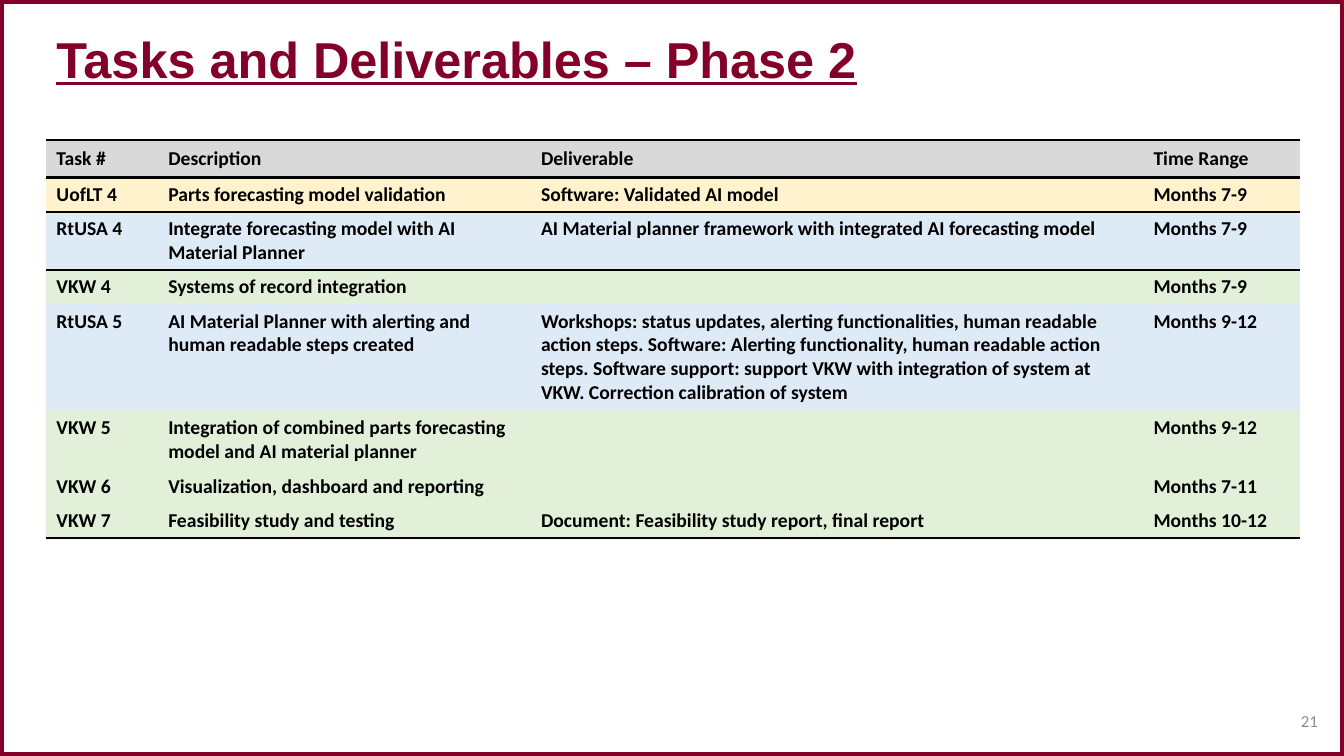
import pptx
import pptx.dml.color
import pptx.enum.shapes
import pptx.enum.text
import pptx.oxml.ns
import pptx.util
from lxml import etree

Inches = pptx.util.Inches
RGBColor = pptx.dml.color.RGBColor

GARNET = RGBColor(0x83, 0x00, 0x28)
BLACK = RGBColor(0x00, 0x00, 0x00)
NUMBER_GRAY = RGBColor(0x8C, 0x8C, 0x8C)
HEADER_GRAY = RGBColor(0xD9, 0xD9, 0xD9)
YELLOW = RGBColor(0xFF, 0xF2, 0xCC)
BLUE = RGBColor(0xDE, 0xEB, 0xF7)
GREEN = RGBColor(0xE2, 0xF0, 0xD9)

PLAIN_TABLE_STYLE = "{2D5ABB26-0587-4C30-8999-92F81FD0307C}"
COLUMN_SHARES = (1.11, 3.7, 6.08, 1.55)
HEADER_HEIGHT = 0.37
ROW_HEIGHT = 0.34
EXTRA_LINE_HEIGHT = 0.24
TABLE_SIZE = 14

HEADINGS = ("Task #", "Description", "Deliverable", "Time Range")
# Fill, number of text lines, cell texts
TASKS = (
    (YELLOW, 1, ("UofLT 4", "Parts forecasting model validation",
                 "Software: Validated AI model", "Months 7-9")),
    (BLUE, 2, ("RtUSA 4", "Integrate forecasting model with AI Material Planner",
               "AI Material planner framework with integrated AI forecasting model",
               "Months 7-9")),
    (GREEN, 1, ("VKW 4", "Systems of record integration", "", "Months 7-9")),
    (BLUE, 4, ("RtUSA 5",
               "AI Material Planner with alerting and human readable steps created",
               "Workshops: status updates, alerting functionalities, human readable "
               "action steps. Software: Alerting functionality, human readable action "
               "steps. Software support: support VKW with integration of system at "
               "VKW. Correction calibration of system", "Months 9-12")),
    (GREEN, 2, ("VKW 5",
                "Integration of combined parts forecasting model and AI material planner",
                "", "Months 9-12")),
    (GREEN, 1, ("VKW 6", "Visualization, dashboard and reporting", "", "Months 7-11")),
    (GREEN, 1, ("VKW 7", "Feasibility study and testing",
                "Document: Feasibility study report, final report", "Months 10-12")),
)
# Horizontal rules: row boundary -> width in points
RULES = {0: 2.25, 1: 2.25, 2: 1.5, len(TASKS) + 1: 2}


def format_runs(paragraph, font_name, size, color, bold=False, underline=False):
    for run in paragraph.runs:
        run.font.name = font_name
        run.font.size = pptx.util.Pt(size)
        run.font.color.rgb = color
        run.font.bold = bold
        run.font.underline = underline


def place(shape, left, top, width, height):
    shape.left, shape.top = Inches(left), Inches(top)
    shape.width, shape.height = Inches(width), Inches(height)


def add_frame(slide, left, top, width, height):
    frame = slide.shapes.add_shape(
        pptx.enum.shapes.MSO_SHAPE.RECTANGLE,
        Inches(left), Inches(top), Inches(width), Inches(height))
    frame.shadow.inherit = False
    frame.fill.background()
    frame.line.color.rgb = GARNET
    frame.line.width = pptx.util.Pt(6)


def add_title(slide, left, top, width, height):
    title = slide.shapes.title
    place(title, left, top, width, height)
    text_frame = title.text_frame
    text_frame.text = "Tasks and Deliverables – Phase 2"
    text_frame.word_wrap = True
    text_frame.auto_size = pptx.enum.text.MSO_AUTO_SIZE.NONE
    text_frame.vertical_anchor = pptx.enum.text.MSO_ANCHOR.MIDDLE
    paragraph = text_frame.paragraphs[0]
    paragraph.alignment = pptx.enum.text.PP_ALIGN.LEFT
    paragraph.line_spacing = 0.9
    format_runs(paragraph, "Arial", 36, GARNET, bold=True, underline=True)


def add_rule(cell, side, width):
    properties = cell._tc.get_or_add_tcPr()
    line = etree.SubElement(properties, pptx.oxml.ns.qn(f"a:{side}"),
                            w=str(pptx.util.Pt(width)))
    fill = etree.SubElement(line, pptx.oxml.ns.qn("a:solidFill"))
    etree.SubElement(fill, pptx.oxml.ns.qn("a:srgbClr"), val=str(BLACK))


def fill_cell(cell, row_index, text, color):
    # Rules come before the fill in the cell properties
    for side, boundary in (("lnT", row_index), ("lnB", row_index + 1)):
        if boundary in RULES:
            add_rule(cell, side, RULES[boundary])
    cell.fill.solid()
    cell.fill.fore_color.rgb = color
    cell.text_frame.text = text
    paragraph = cell.text_frame.paragraphs[0]
    format_runs(paragraph, "Calibri", TABLE_SIZE, BLACK, bold=True)
    if not text:
        # Keeps an empty cell from stretching its row
        etree.SubElement(paragraph._p, pptx.oxml.ns.qn("a:endParaRPr"),
                         sz=str(TABLE_SIZE * 100))


def add_task_table(slide, left, top, width):
    rows = ((HEADER_GRAY, 1, HEADINGS),) + TASKS
    heights = [HEADER_HEIGHT] + [
        ROW_HEIGHT + EXTRA_LINE_HEIGHT * (lines - 1) for _, lines, _ in TASKS]
    graphic_frame = slide.shapes.add_table(
        len(rows), len(HEADINGS), Inches(left), Inches(top),
        Inches(width), Inches(sum(heights)))
    table = graphic_frame.table
    table.horz_banding = False
    table.first_row = False
    style = next(graphic_frame.element.iter(pptx.oxml.ns.qn("a:tableStyleId")))
    style.text = PLAIN_TABLE_STYLE
    for column, share in zip(table.columns, COLUMN_SHARES):
        column.width = Inches(width * share / sum(COLUMN_SHARES))
    for row_index, (color, _, texts) in enumerate(rows):
        table.rows[row_index].height = Inches(heights[row_index])
        for column_index, text in enumerate(texts):
            fill_cell(table.cell(row_index, column_index), row_index, text, color)
    for column_index in range(len(HEADINGS)):
        table.cell(0, column_index).vertical_anchor = pptx.enum.text.MSO_ANCHOR.MIDDLE


def add_slide_number(slide, left, top, width, height):
    box = slide.shapes.add_textbox(
        Inches(left), Inches(top), Inches(width), Inches(height))
    box.text_frame.text = "21"
    box.text_frame.word_wrap = True
    box.text_frame.vertical_anchor = pptx.enum.text.MSO_ANCHOR.MIDDLE
    paragraph = box.text_frame.paragraphs[0]
    paragraph.alignment = pptx.enum.text.PP_ALIGN.RIGHT
    format_runs(paragraph, "Calibri", 12, NUMBER_GRAY)


def main():
    presentation = pptx.Presentation()
    presentation.slide_width = Inches(13.33)
    presentation.slide_height = Inches(7.5)
    slide = presentation.slides.add_slide(presentation.slide_layouts[5])
    add_frame(slide, 0, 0, 13.33, 7.5)
    add_title(slide, 0.46, 0.15, 12.43, 0.93)
    add_task_table(slide, 0.46, 1.39, 12.43)
    add_slide_number(slide, 9.1, 6.95, 4.07, 0.4)
    presentation.save("out.pptx")


if __name__ == "__main__":
    main()
